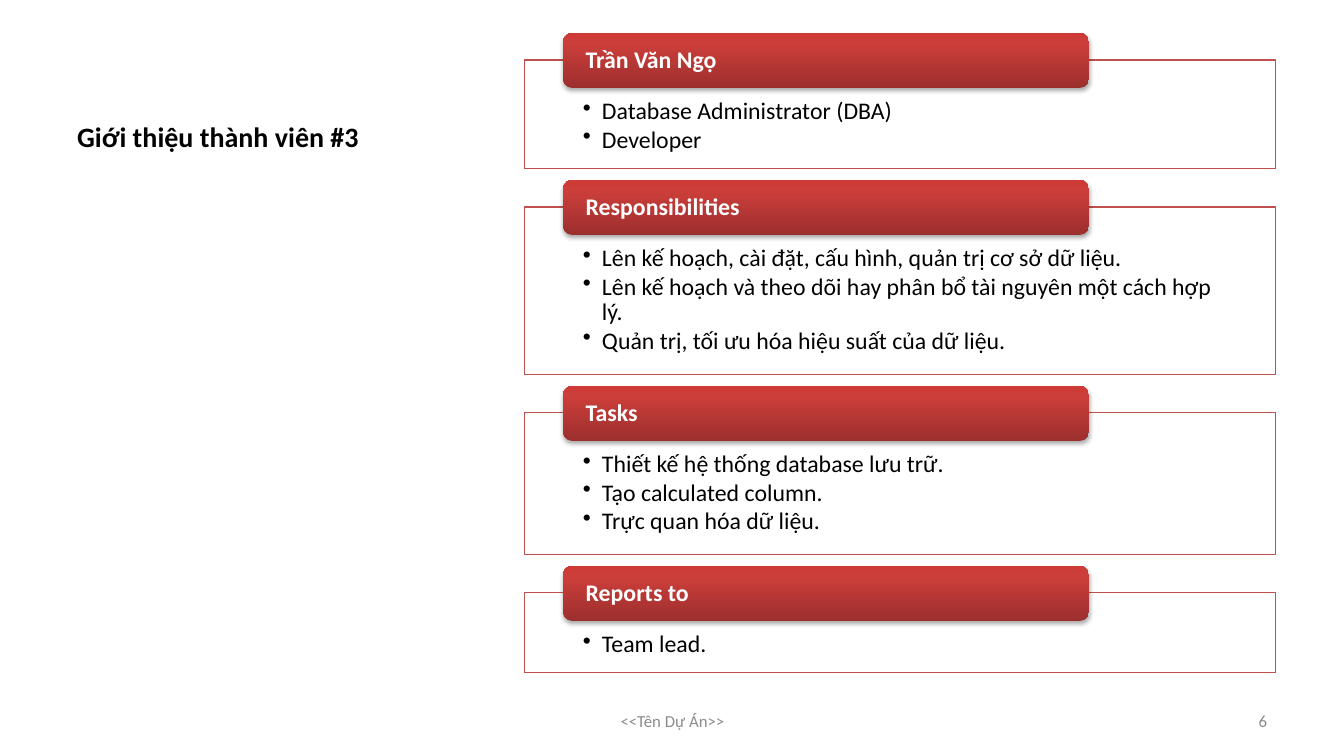
from lxml import etree
from pptx import Presentation
from pptx import util as u
from pptx.dml.color import RGBColor
from pptx.enum import shapes, text
from pptx.oxml.ns import qn

PX = 914400 / 100.8  # EMU in one px


def px(*lengths):
    return [u.Emu(round(n * PX)) for n in lengths]


def paint(color_format, value):
    color_format.rgb = RGBColor.from_string(value)


members_deck = Presentation()
members_deck.slide_width, members_deck.slide_height = px(1344, 756)
slide = members_deck.slides.add_slide(members_deck.slide_layouts[5])

# Title
title = slide.shapes.title
title.left, title.top, title.width, title.height = px(67, 30, 443, 128)
title.text_frame.text = "Giới thiệu thành viên #3"
title.text_frame.vertical_anchor = text.MSO_ANCHOR.BOTTOM
heading = title.text_frame.paragraphs[0]
heading.alignment = text.PP_ALIGN.LEFT
for name, value in {"name": "Calibri", "size": u.Pt(20), "bold": True}.items():
    setattr(heading.font, name, value)
paint(heading.font.color, "000000")

# Footer and page number
for left, width, words, align in [
    (460, 425, "<<Tên Dự Án>>", text.PP_ALIGN.CENTER),
    (964, 313, "6", text.PP_ALIGN.RIGHT),
]:
    footer = slide.shapes.add_textbox(*px(left, 701, width, 40)).text_frame
    footer.word_wrap = True
    footer.vertical_anchor = text.MSO_ANCHOR.MIDDLE
    footer.text = words
    line = footer.paragraphs[0]
    line.alignment = align
    line.font.name, line.font.size = "Calibri", u.Pt(12)
    paint(line.font.color, "8C8C8C")

# Sections: heading, box height, duties
sections = [
    ("Trần Văn Ngọ", 109, ["Database Administrator (DBA)", "Developer"]),
    ("Responsibilities", 168, [
        "Lên kế hoạch, cài đặt, cấu hình, quản trị cơ sở dữ liệu.",
        "Lên kế hoạch và theo dõi hay phân bổ tài nguyên một cách hợp lý.",
        "Quản trị, tối ưu hóa hiệu suất của dữ liệu.",
    ]),
    ("Tasks", 142, [
        "Thiết kế hệ thống database lưu trữ.",
        "Tạo calculated column.",
        "Trực quan hóa dữ liệu.",
    ]),
    ("Reports to", 80, ["Team lead."]),
]
GAP = 38
top = 60
for section, height, duties in sections:
    # Outlined box with the bulleted duties
    box = slide.shapes.add_shape(
        shapes.MSO_SHAPE.RECTANGLE, *px(525, top, 751, height))
    box.shadow.inherit = False
    box.fill.solid()
    paint(box.fill.fore_color, "FFFFFF")
    white = box._element.spPr.find(qn("a:solidFill"))[0]
    etree.SubElement(white, qn("a:alpha"), val="90000")
    paint(box.line.color, "C0504D")
    box.line.width = u.Pt(0.75)
    frame = box.text_frame
    frame.word_wrap = True
    frame.vertical_anchor = text.MSO_ANCHOR.TOP
    frame.margin_left, frame.margin_top, frame.margin_right, frame.margin_bottom = px(
        58, 39, 58, 13)
    frame.text = "\n".join(duties)
    indent = px(19)[0]
    for duty in frame.paragraphs:
        props = duty._p.get_or_add_pPr()
        props.set("marL", str(indent))
        props.set("indent", str(-indent))
        etree.SubElement(props, qn("a:buChar"), char="•")
        duty.alignment = text.PP_ALIGN.LEFT
        duty.line_spacing, duty.space_after = 0.9, u.Pt(2)
        duty.font.name, duty.font.size = "Calibri", u.Pt(17)
        paint(duty.font.color, "000000")

    # Red tab over the top edge of the box
    tab = slide.shapes.add_shape(
        shapes.MSO_SHAPE.ROUNDED_RECTANGLE, *px(563, top - 27, 526, 55))
    tab.line.fill.background()
    tab.fill.gradient()
    tab.fill.gradient_angle = 90
    stops = tab._element.spPr.find(".//" + qn("a:gsLst"))
    stops.clear()
    for percent, red in [(0, "9C2F2D"), (80, "CB3E3A"), (100, "CE3B37")]:
        stop = etree.SubElement(stops, qn("a:gs"), pos=str(percent * 1000))
        etree.SubElement(stop, qn("a:srgbClr"), val=red)
    tab.shadow.inherit = False
    shadow = etree.SubElement(
        tab._element.spPr.find(qn("a:effectLst")), qn("a:outerShdw"),
        blurRad="40000", dist="23000", dir="5400000", rotWithShape="0")
    black = etree.SubElement(shadow, qn("a:srgbClr"), val="000000")
    etree.SubElement(black, qn("a:alpha"), val="35000")
    label = tab.text_frame
    label.word_wrap = True
    label.vertical_anchor = text.MSO_ANCHOR.MIDDLE
    label.margin_left, label.margin_top, label.margin_right, label.margin_bottom = px(
        20, 0, 20, 0)
    label.text = section
    caption = label.paragraphs[0]
    caption.alignment = text.PP_ALIGN.LEFT
    caption.line_spacing = 0.9
    for name, value in {"name": "Calibri", "size": u.Pt(17), "bold": True}.items():
        setattr(caption.font, name, value)
    paint(caption.font.color, "FFFFFF")

    top += height + GAP

members_deck.save("out.pptx")
